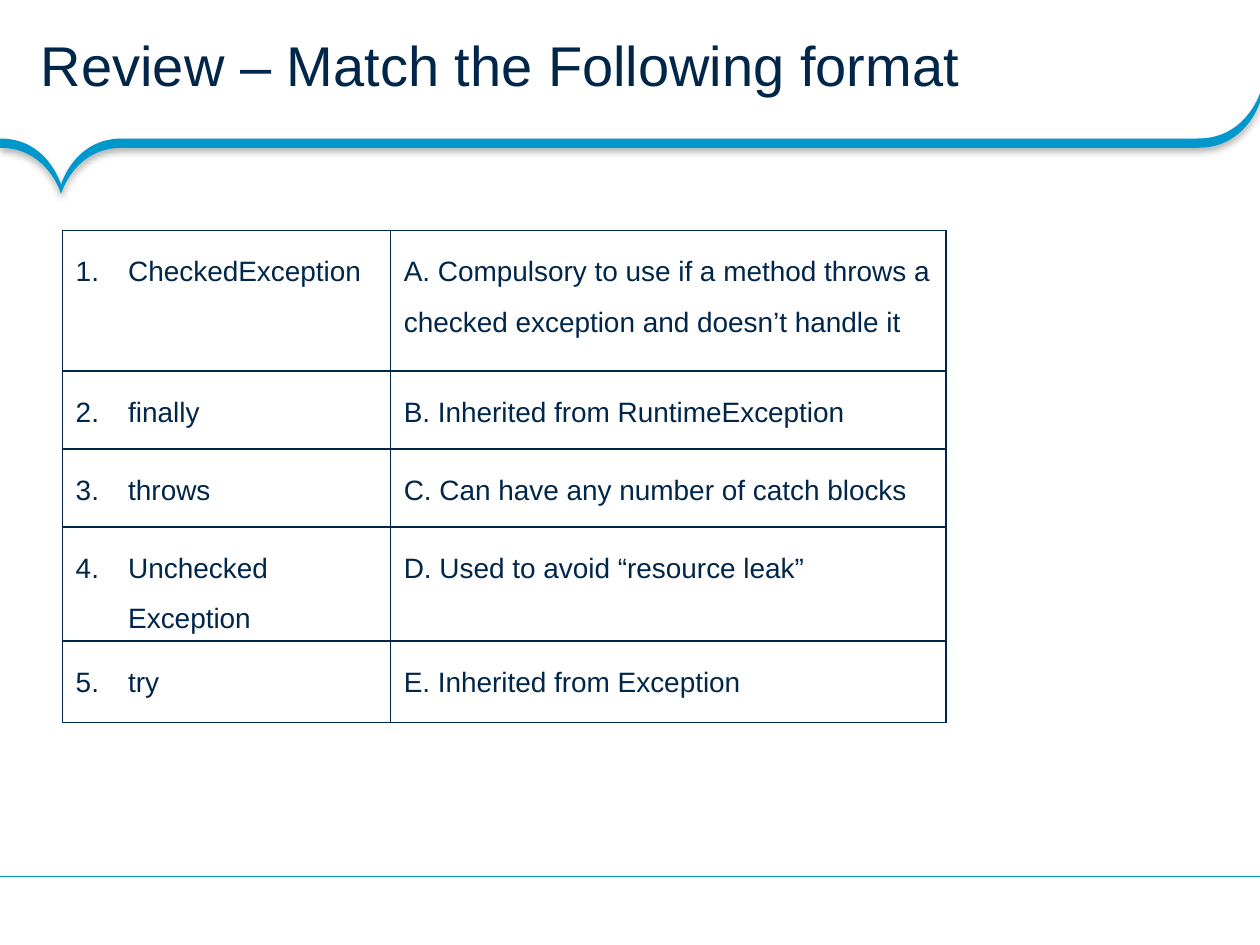
import dataclasses

import pptx
import pptx.dml.color
import pptx.enum.shapes
import pptx.enum.text
import pptx.oxml
import pptx.oxml.ns
import pptx.util

Pt = pptx.util.Pt
RGB = pptx.dml.color.RGBColor.from_string
NS = pptx.oxml.ns.nsdecls("a")
qn = pptx.oxml.ns.qn


@dataclasses.dataclass(frozen=True)
class Theme:
    ink: str = "00264A"
    accent: str = "0098CC"
    paper: str = "FFFFFF"
    font: str = "Arial"
    title_size: float = 32
    body_size: float = 16


THEME = Theme()
TITLE = "Review – Match the Following format"
PAIRS = [
    ("CheckedException", "A. Compulsory to use if a method throws a "
                         "checked exception and doesn’t handle it"),
    ("finally", "B. Inherited from RuntimeException"),
    ("throws", "C. Can have any number of catch blocks"),
    ("Unchecked Exception", "D. Used to avoid “resource leak”"),
    ("try", "E. Inherited from Exception"),
]
COLUMN_WIDTHS = [187.5, 317.5]
ROW_HEIGHTS = [80.4, 44.6, 44.6, 59, 46.6]

TITLE_FRAME = {
    "margin_left": Pt(23.4), "margin_right": Pt(13),
    "margin_top": Pt(2.9), "margin_bottom": Pt(2.9), "word_wrap": True,
    "vertical_anchor": pptx.enum.text.MSO_ANCHOR.MIDDLE,
    "auto_size": pptx.enum.text.MSO_AUTO_SIZE.NONE,
}
TITLE_PARAGRAPH = {"line_spacing": 0.85, "alignment": pptx.enum.text.PP_ALIGN.LEFT}
CELL_MARGINS = {
    "margin_left": Pt(7.6), "margin_right": Pt(7.6),
    "margin_top": Pt(3.6), "margin_bottom": Pt(3.6),
}
CELL_PARAGRAPH = {"line_spacing": Pt(29), "space_before": Pt(3.2)}


def apply(target, values):
    for name, value in values.items():
        setattr(target, name, value)


def write(paragraph, text, size, layout):
    apply(paragraph, layout)
    run = paragraph.add_run()
    run.text = text
    apply(run.font, {"name": THEME.font, "size": Pt(size), "bold": False})
    run.font.color.rgb = RGB(THEME.ink)


def add_curved_outline(slide, points):
    """Closed outline: a start point, then three points for each cubic curve."""
    scaled = [(Pt(x), Pt(y)) for x, y in points]
    builder = slide.shapes.build_freeform(*scaled[0])
    builder.add_line_segments(scaled[1:], close=True)
    outline = builder.convert_to_shape()
    corners = list(outline._element.iter(qn("a:lnTo")))
    for first in range(0, len(corners), 3):
        bend = pptx.oxml.parse_xml(f"<a:cubicBezTo {NS}/>")
        corners[first].addprevious(bend)
        for corner in corners[first:first + 3]:
            bend.append(corner[0])
            corner.getparent().remove(corner)
    return outline


def add_ribbon(slide):
    level, thickness = 79.2, 5.3
    notch, corner = (34.9, 105.6), (720, 53.3)
    left, right = (69.8, level), (684.7, level)
    upper = [(0, level), (27.4, level), notch, notch,
             notch, (42.4, level), left,
             left, right, right,
             (712, level), corner, corner]
    lower = [(x, y + thickness) for x, y in reversed(upper)]
    # Each end is a straight edge, written as a flat curve
    ribbon = add_curved_outline(
        slide, upper + [lower[0]] * 2 + lower + [upper[0]] * 3)
    ribbon.fill.solid()
    ribbon.fill.fore_color.rgb = RGB(THEME.accent)
    ribbon.line.fill.background()
    ribbon.shadow.inherit = False
    effects = ribbon._element.spPr.find(qn("a:effectLst"))
    effects.append(pptx.oxml.parse_xml(
        f'<a:outerShdw {NS} blurRad="{Pt(4)}" dist="{Pt(2)}" dir="5400000" rotWithShape="0">'
        '<a:srgbClr val="000000"><a:alpha val="31000"/></a:srgbClr></a:outerShdw>'))


def add_footer_rule(slide):
    rule = slide.shapes.add_connector(
        pptx.enum.shapes.MSO_CONNECTOR.STRAIGHT, Pt(720), Pt(501), Pt(0), Pt(501))
    rule.line.color.rgb = RGB(THEME.accent)
    rule.line.width = Pt(0.75)
    rule._element.spPr.append(pptx.oxml.parse_xml(f"<a:effectLst {NS}/>"))


def add_title(slide):
    title = slide.shapes.title
    apply(title, {"left": Pt(0), "top": Pt(0), "width": Pt(720), "height": Pt(79.2)})
    apply(title.text_frame, TITLE_FRAME)
    write(title.text_frame.paragraphs[0], TITLE, THEME.title_size, TITLE_PARAGRAPH)


def number(paragraph, start):
    properties = paragraph._p.get_or_add_pPr()
    properties.set("marL", str(Pt(30)))
    properties.set("indent", str(-Pt(30)))
    properties.append(pptx.oxml.parse_xml(
        f'<a:buAutoNum {NS} type="arabicPeriod" startAt="{start}"/>'))


def format_cell(cell, text):
    apply(cell, CELL_MARGINS)
    properties = cell._tc.get_or_add_tcPr()
    for side in ("lnL", "lnR", "lnT", "lnB"):
        properties.append(pptx.oxml.parse_xml(
            f'<a:{side} {NS} w="{Pt(1)}"><a:solidFill><a:srgbClr val="{THEME.ink}"/>'
            f'</a:solidFill></a:{side}>'))
    cell.fill.solid()
    cell.fill.fore_color.rgb = RGB(THEME.paper)
    write(cell.text_frame.paragraphs[0], text, THEME.body_size, CELL_PARAGRAPH)


def add_matching_table(slide):
    matching = slide.shapes.add_table(
        len(PAIRS), 2, Pt(35.7), Pt(131.6),
        Pt(sum(COLUMN_WIDTHS)), Pt(sum(ROW_HEIGHTS))).table
    apply(matching, {"first_row": False, "horz_banding": False})
    for column, width in zip(matching.columns, COLUMN_WIDTHS):
        column.width = Pt(width)
    for index, (pair, height) in enumerate(zip(PAIRS, ROW_HEIGHTS)):
        matching.rows[index].height = Pt(height)
        for side, text in enumerate(pair):
            format_cell(matching.cell(index, side), text)
        number(matching.cell(index, 0).text_frame.paragraphs[0], index + 1)


def main():
    deck = pptx.Presentation()
    apply(deck, {"slide_width": Pt(720), "slide_height": Pt(540)})
    slide = deck.slides.add_slide(deck.slide_layouts[5])
    # Frame of the page
    add_ribbon(slide)
    add_footer_rule(slide)
    # Content
    add_title(slide)
    add_matching_table(slide)
    deck.save("out.pptx")


if __name__ == "__main__":
    main()
